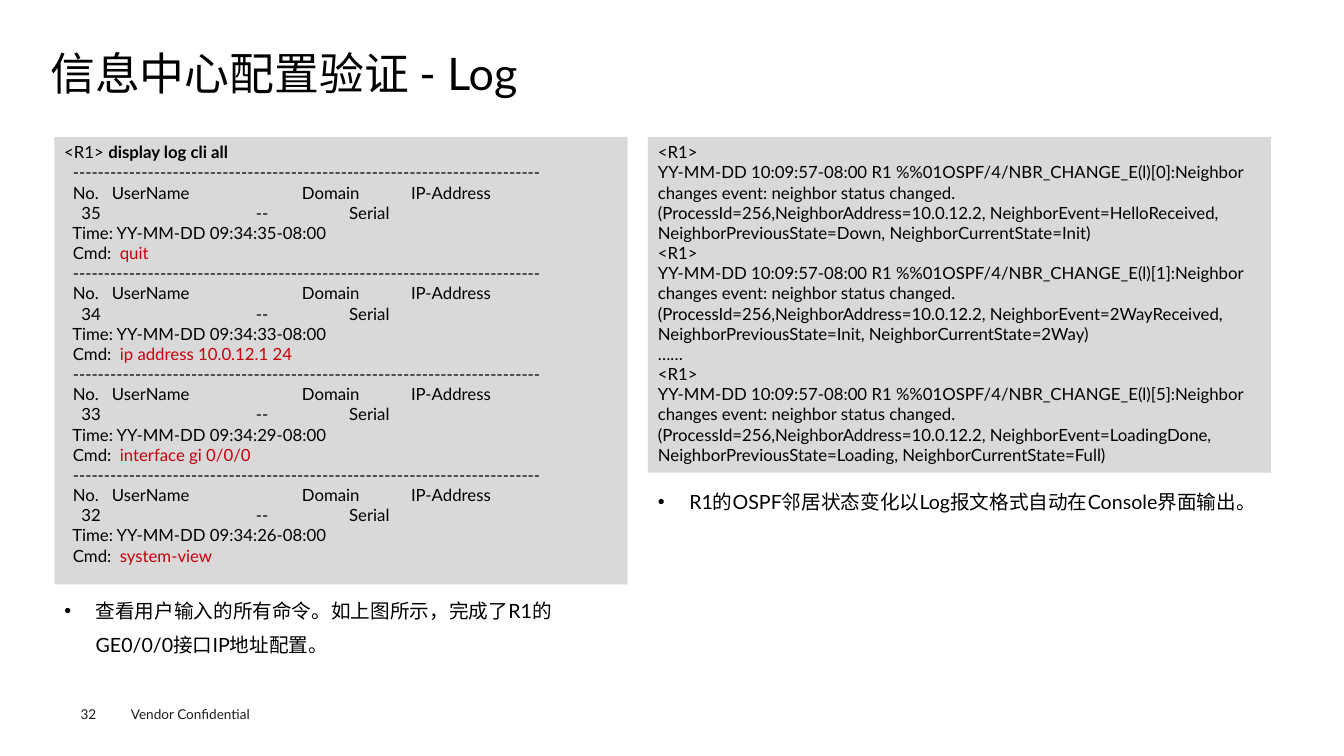
from dataclasses import dataclass

from lxml.etree import SubElement
from pptx import Presentation
from pptx.dml.color import RGBColor
from pptx.enum.shapes import MSO_SHAPE
from pptx.enum.text import MSO_ANCHOR, MSO_AUTO_SIZE, PP_ALIGN
from pptx.oxml.ns import qn
from pptx.util import Cm, Pt

FONT = "Lato"
BLACK, RED, GRAY, INK = "000000", "C7000B", "D9D9D9", "1D1D1B"
PAD = (0.25, 0.13)


@dataclass
class Box:
    left: float
    top: float
    width: float
    height: float


@dataclass
class Piece:
    text: str
    color: str = BLACK
    bold: bool = False


@dataclass
class Line:
    pieces: list[Piece]
    tabs: tuple[float, ...] = ()


@dataclass
class Entry:
    num: int
    time: str
    cmd: str


@dataclass
class Event:
    num: int
    name: str
    old: str
    new: str


def paint(hue: str) -> RGBColor:
    return RGBColor.from_string(hue)


def place(shape, box: Box) -> None:
    shape.left, shape.top = Cm(box.left), Cm(box.top)
    shape.width, shape.height = Cm(box.width), Cm(box.height)


def setup(frame, pad: tuple[float, float] = PAD, anchor=MSO_ANCHOR.TOP) -> None:
    frame.word_wrap = True
    frame.auto_size = MSO_AUTO_SIZE.NONE
    frame.vertical_anchor = anchor
    frame.margin_left = frame.margin_right = Cm(pad[0])
    frame.margin_top = frame.margin_bottom = Cm(pad[1])


def write(para, line: Line, size: float) -> None:
    para.alignment = PP_ALIGN.LEFT
    para.space_before = Pt(0)
    if line.tabs:
        stops = SubElement(para._p.get_or_add_pPr(), qn("a:tabLst"))
        for pos in line.tabs:
            SubElement(stops, qn("a:tab"), pos=str(Cm(pos)), algn="l")
    for piece in line.pieces:
        run = para.add_run()
        run.text = piece.text
        font = run.font
        font.name, font.size, font.bold = FONT, Pt(size), piece.bold
        font.color.rgb = paint(piece.color)


def panel(slide, box: Box, lines: list[Line]) -> None:
    rect = slide.shapes.add_shape(MSO_SHAPE.RECTANGLE, 0, 0, 0, 0)
    place(rect, box)
    rect.shadow.inherit = False
    rect.fill.solid()
    rect.fill.fore_color.rgb = paint(GRAY)
    rect.line.fill.background()
    frame = rect.text_frame
    setup(frame)
    for i, line in enumerate(lines):
        para = frame.add_paragraph() if i else frame.paragraphs[0]
        write(para, line, 12)


def bullet(shape, box: Box, text: str) -> None:
    place(shape, box)
    setup(shape.text_frame)
    para = shape.text_frame.paragraphs[0]
    para.line_spacing = Pt(24)
    props = para._p.get_or_add_pPr()
    props.set("marL", str(Cm(0.79)))
    props.set("indent", str(Cm(-0.79)))
    write(para, Line([Piece(text)]), 14)


def label(slide, box: Box, text: str, pad: tuple[float, float]) -> None:
    shape = slide.shapes.add_textbox(0, 0, 0, 0)
    place(shape, box)
    setup(shape.text_frame, pad)
    write(shape.text_frame.paragraphs[0], Line([Piece(text, INK)]), 9.7)


def cli(entry: Entry) -> list[Line]:
    return [
        Line([Piece("  " + "-" * 75)]),
        Line([Piece("  No.\tUserName\tDomain\tIP-Address")], (1.2, 5.99, 8.74)),
        Line([Piece(f"    {entry.num}\t--\tSerial")], (4.83, 7.18)),
        Line([Piece(f"  Time: YY-MM-DD {entry.time}-08:00")]),
        Line([Piece("  Cmd:\t"), Piece(entry.cmd, RED)], (1.4,)),
    ]


def change(event: Event) -> list[Line]:
    text = (
        f"YY-MM-DD 10:09:57-08:00 R1 %%01OSPF/4/NBR_CHANGE_E(l)[{event.num}]:"
        "Neighbor changes event: neighbor status changed. "
        "(ProcessId=256,NeighborAddress=10.0.12.2, "
        f"NeighborEvent={event.name}, NeighborPreviousState={event.old}, "
        f"NeighborCurrentState={event.new})"
    )
    return [Line([Piece("<R1>")]), Line([Piece(text)])]


ENTRIES = [
    Entry(35, "09:34:35", "quit"),
    Entry(34, "09:34:33", "ip address 10.0.12.1 24"),
    Entry(33, "09:34:29", "interface gi 0/0/0"),
    Entry(32, "09:34:26", "system-view"),
]
EVENTS = [
    Event(0, "HelloReceived", "Down", "Init"),
    Event(1, "2WayReceived", "Init", "2Way"),
    Event(5, "LoadingDone", "Loading", "Full"),
]


def main() -> None:
    deck = Presentation()
    deck.slide_width, deck.slide_height = Cm(33.87), Cm(19.05)
    slide = deck.slides.add_slide(deck.slide_layouts[3])
    title, left, right = slide.placeholders

    # Title
    place(title, Box(1.27, 1.24, 31.37, 1.35))
    setup(title.text_frame, (0, 0), MSO_ANCHOR.MIDDLE)
    head = title.text_frame.paragraphs[0]
    head.line_spacing = 0.9
    write(head, Line([Piece("信息中心配置验证 - Log")]), 32)

    # Command log
    rows = [Line([Piece("<R1> "), Piece("display log cli all", bold=True)])]
    for entry in ENTRIES:
        rows += cli(entry)
    panel(slide, Box(1.37, 3.45, 14.45, 11.28), rows)
    bullet(left, Box(1.37, 14.71, 14.45, 1.96),
           "查看用户输入的所有命令。如上图所示，完成了R1的GE0/0/0接口IP地址配置。")

    # Neighbor log
    rows = [line for event in EVENTS for line in change(event)]
    rows.insert(4, Line([Piece("……")]))
    panel(slide, Box(16.33, 3.45, 15.7, 8.46), rows)
    bullet(right, Box(16.33, 11.96, 15.7, 1.96),
           "R1的OSPF邻居状态变化以Log报文格式自动在Console界面输出。")

    # Footer
    label(slide, Box(3.05, 17.65, 4.06, 0.69), "Vendor Confidential", PAD)
    label(slide, Box(2.03, 17.78, 1.4, 0.41), "32", (0, 0))

    deck.save("out.pptx")


if __name__ == "__main__":
    main()
